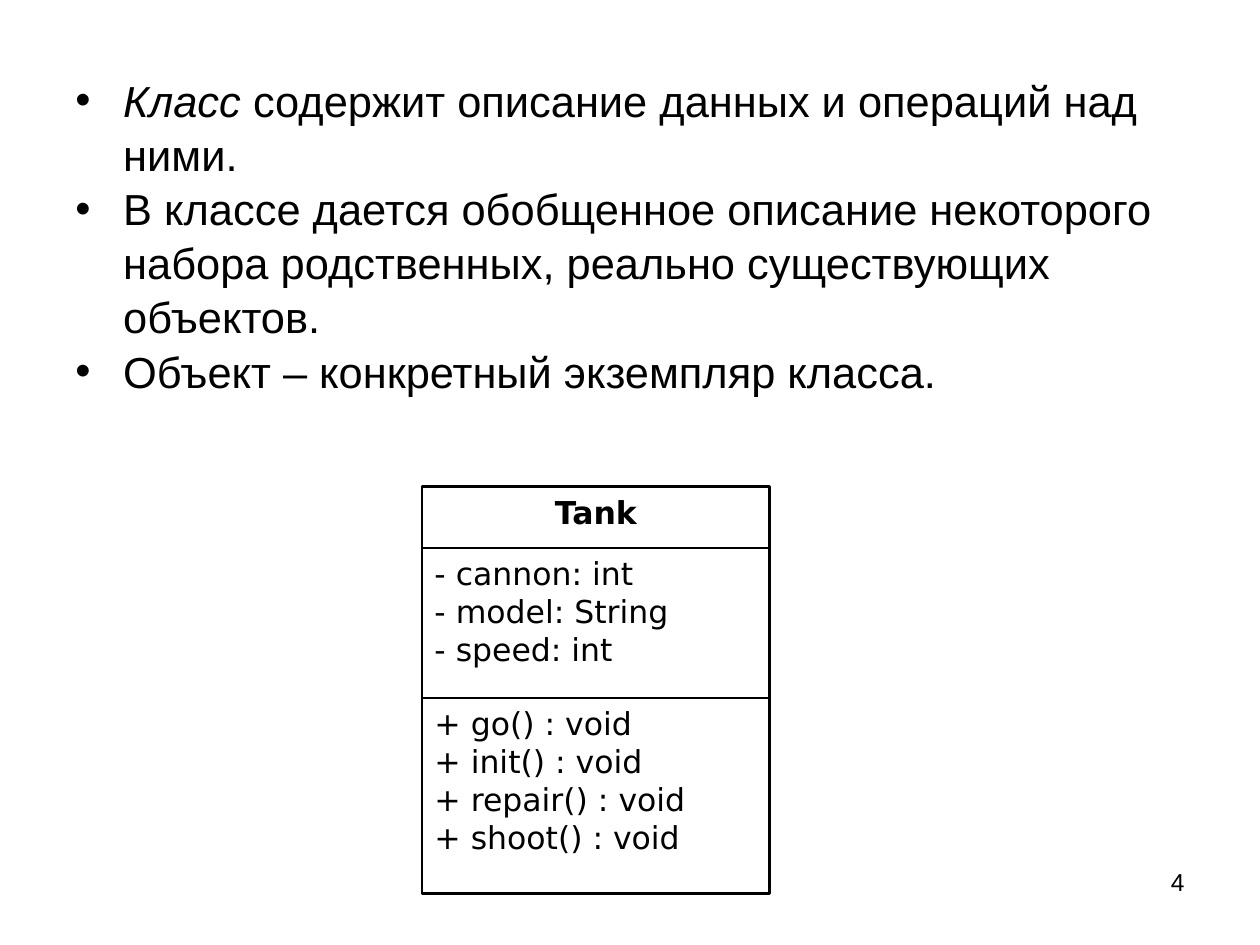
from lxml.etree import SubElement
from pptx import Presentation
from pptx.dml.color import RGBColor
from pptx.enum.shapes import MSO_SHAPE
from pptx.enum.text import MSO_ANCHOR, PP_ALIGN
from pptx.oxml.ns import qn
from pptx.util import Inches, Pt

BLACK = RGBColor(0, 0, 0)
INDENT = Inches(0.38)

presentation = Presentation()
presentation.slide_width = Inches(10)
presentation.slide_height = Inches(7.5)
slide = presentation.slides.add_slide(presentation.slide_layouts[6])


def style(paragraph, font_name, size, alignment=PP_ALIGN.LEFT):
    paragraph.alignment = alignment
    paragraph.font.name = font_name
    paragraph.font.size = Pt(size)
    paragraph.font.color.rgb = BLACK


# Definitions: each point is a list of (text, italic) runs
points = [
    [("Класс ", True), ("содержит описание данных и операций над ними.", False)],
    [("В классе дается обобщенное описание некоторого набора родственных, "
      "реально существующих объектов.", False)],
    [("Объект – конкретный экземпляр класса.", False)],
]
body = slide.shapes.add_textbox(Inches(0.5), Inches(0.52), Inches(9), Inches(2.76))
body.text_frame.word_wrap = True
for index, point in enumerate(points):
    paragraph = body.text_frame.paragraphs[0] if index == 0 else body.text_frame.add_paragraph()
    properties = paragraph._p.get_or_add_pPr()
    properties.set("marL", str(INDENT))
    properties.set("indent", str(-INDENT))
    SubElement(properties, qn("a:buFont"), typeface="Arial")
    SubElement(properties, qn("a:buChar"), char="•")
    style(paragraph, "Arial", 24.8)
    paragraph.line_spacing = 1.04
    for text, italic in point:
        run = paragraph.add_run()
        run.text = text
        if italic:
            run.font.italic = True

# Slide number
number = slide.shapes.add_textbox(Inches(7.17), Inches(6.83), Inches(2.33), Inches(0.52))
number.text_frame.word_wrap = True
number.text_frame.text = "4"
style(number.text_frame.paragraphs[0], "Arial", 14, PP_ALIGN.RIGHT)

# UML class diagram: stacked compartments of (height, lines)
compartments = [
    (0.49, ["Tank"]),
    (1.19, ["- cannon: int", "- model: String", "- speed: int"]),
    (1.55, ["+ go() : void", "+ init() : void", "+ repair() : void", "+ shoot() : void"]),
]
diagram = slide.shapes.add_group_shape()
top = 3.86
for index, (height, lines) in enumerate(compartments):
    box = diagram.shapes.add_shape(
        MSO_SHAPE.RECTANGLE, Inches(3.35), Inches(top), Inches(2.76), Inches(height))
    box.shadow.inherit = False
    box.fill.background()
    box.line.color.rgb = BLACK
    box.line.width = Pt(1.5)
    frame = box.text_frame
    frame.word_wrap = True
    frame.vertical_anchor = MSO_ANCHOR.TOP
    frame.text = "\n".join(lines)
    is_title = index == 0
    for paragraph in frame.paragraphs:
        style(paragraph, "DejaVu Sans", 18, PP_ALIGN.CENTER if is_title else PP_ALIGN.LEFT)
        paragraph.font.bold = is_title
    top += height

presentation.save("out.pptx")
